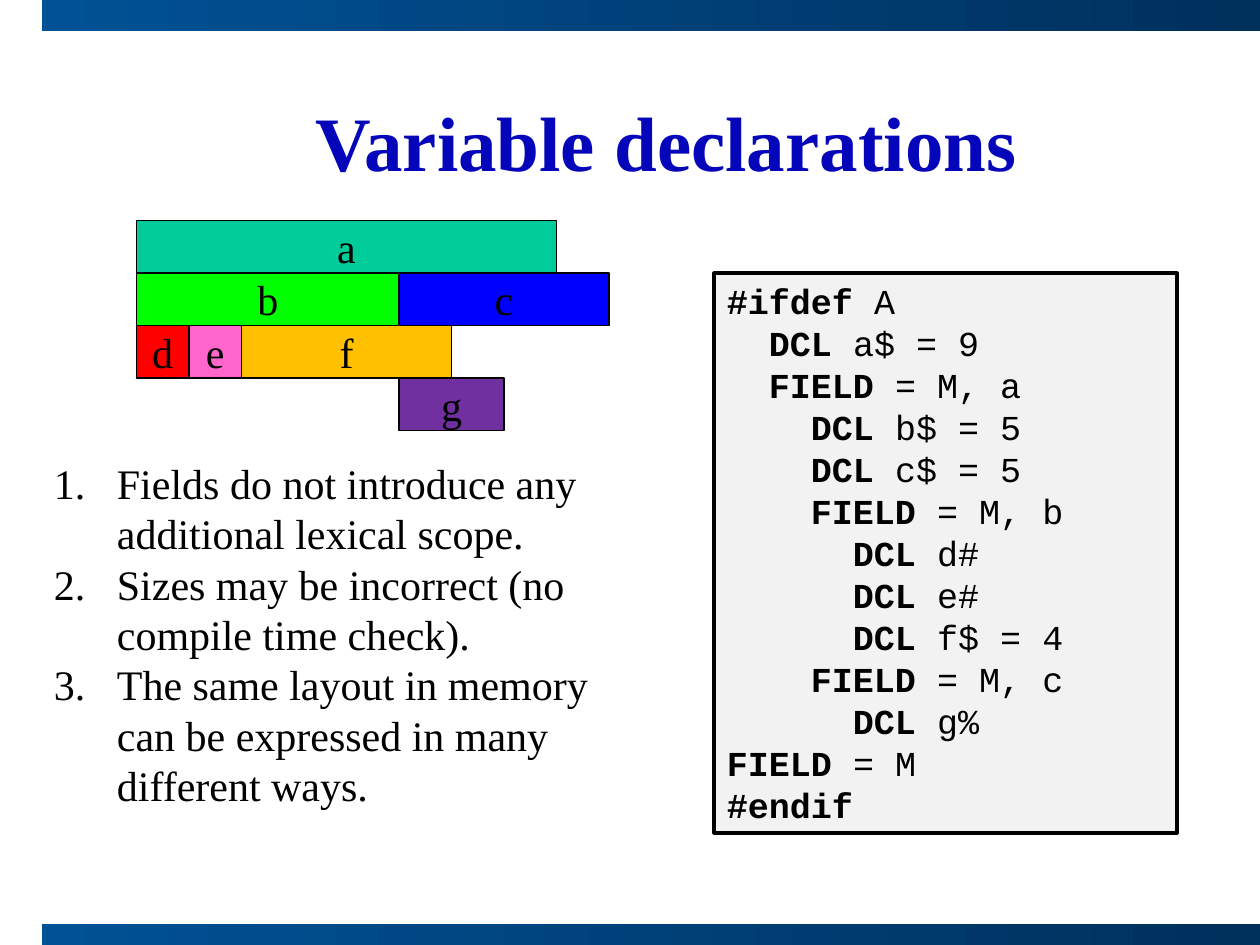
from lxml.etree import SubElement
from pptx import Presentation
from pptx.dml.color import RGBColor
from pptx.enum.shapes import MSO_SHAPE
from pptx.enum.text import MSO_ANCHOR, PP_ALIGN
from pptx.oxml.ns import qn
from pptx.util import Inches, Pt

SERIF, MONO = "Times New Roman", "Courier New"
LEFT, TOP, UNIT = 13 / 12, 1.75, 5 / 12  # memory layout grid, one byte per unit

# name, first byte, row, size in bytes, colour
FIELDS = [
    ("a", 0, 0, 8, "00CC99"),
    ("b", 0, 1, 5, "00FF00"),
    ("c", 5, 1, 4, "0000FF"),
    ("d", 0, 2, 1, "FF0000"),
    ("e", 1, 2, 1, "FF66CC"),
    ("f", 2, 2, 4, "FFC000"),
    ("g", 5, 3, 2, "7030A0"),
]

CODE = """#ifdef A
  DCL a$ = 9
  FIELD = M, a
    DCL b$ = 5
    DCL c$ = 5
    FIELD = M, b
      DCL d#
      DCL e#
      DCL f$ = 4
    FIELD = M, c
      DCL g%
FIELD = M
#endif"""

NOTES = [
    "Fields do not introduce any additional lexical scope.",
    "Sizes may be incorrect (no compile time check).",
    "The same layout in memory can be expressed in many different ways.",
]


def rgb(value):
    return RGBColor.from_string(value)


class Builder:
    def __init__(self, slide):
        self.slide = slide

    def font(self, font, size, name=SERIF, color="000000", bold=False):
        font.size, font.name, font.bold = Pt(size), name, bold
        font.color.rgb = rgb(color)

    def rect(self, x, y, w, h, fill=None, line=None):
        sp = self.slide.shapes.add_shape(
            MSO_SHAPE.RECTANGLE, Inches(x), Inches(y), Inches(w), Inches(h))
        sp.shadow.inherit = False
        if fill:
            sp.fill.solid()
            sp.fill.fore_color.rgb = rgb(fill)
        if line:
            sp.line.color.rgb = rgb("000000")
            sp.line.width = Pt(line)
        else:
            sp.line.fill.background()
        return sp

    def band(self, y, h):
        sp = self.rect(0.33, y, 9.67, h)
        sp.fill.gradient()
        sp.fill.gradient_angle = 0
        for stop, color in zip(sp.fill.gradient_stops, ("005296", "00305C")):
            stop.color.rgb = rgb(color)

    def textbox(self, x, y, w, h):
        tf = self.slide.shapes.add_textbox(
            Inches(x), Inches(y), Inches(w), Inches(h)).text_frame
        tf.word_wrap = True
        return tf

    def title(self, text):
        tf = self.textbox(1.08, 0.33, 8.42, 1.58)
        tf.vertical_anchor = MSO_ANCHOR.MIDDLE
        tf.text = text
        p = tf.paragraphs[0]
        p.alignment = PP_ALIGN.CENTER
        self.font(p.runs[0].font, 44, color="0505B9", bold=True)

    def field(self, name, start, row, size, color):
        sp = self.rect(LEFT + start * UNIT, TOP + row * UNIT,
                       size * UNIT, UNIT, color, 0.75)
        sp.text_frame.text = name
        p = sp.text_frame.paragraphs[0]
        p.alignment = PP_ALIGN.CENTER
        self.font(p.runs[0].font, 24)

    def code(self, source):
        tf = self.rect(5.67, 2.17, 3.67, 4.44, "F2F2F2", 2.25).text_frame
        tf.vertical_anchor = MSO_ANCHOR.TOP
        tf.text = source
        for p in tf.paragraphs:
            p.alignment = PP_ALIGN.LEFT
            p.line_spacing = Pt(24)
            # The first word of each line is a bold keyword
            line = p.text
            keyword = line.split()[0]
            end = line.index(keyword) + len(keyword)
            p.text = line[:end]
            self.font(p.runs[0].font, 20, MONO, bold=True)
            if line[end:]:
                r = p.add_run()
                r.text = line[end:]
                self.font(r.font, 20, MONO)

    def numbered(self, items):
        tf = self.textbox(0.33, 3.58, 4.83, 2.9)
        tf.text = "\n".join(items)
        for p in tf.paragraphs:
            p.line_spacing = Pt(28.8)
            pPr = p._p.get_or_add_pPr()
            pPr.set("marL", str(Inches(0.5)))
            pPr.set("indent", str(Inches(-0.5)))
            SubElement(pPr, qn("a:buFont"), typeface="+mj-lt")
            SubElement(pPr, qn("a:buAutoNum"), type="arabicPeriod")
            self.font(p.runs[0].font, 24)


def main():
    prs = Presentation()
    prs.slide_width, prs.slide_height = Inches(10), Inches(7.5)
    s = Builder(prs.slides.add_slide(prs.slide_layouts[6]))

    # Bands and title
    s.band(7.33, 0.17)
    s.band(0, 0.25)
    s.title("Variable declarations")

    # Source code
    s.code(CODE)

    # Memory layout
    for field in FIELDS:
        s.field(*field)

    # Remarks
    s.numbered(NOTES)

    prs.save("out.pptx")


if __name__ == "__main__":
    main()
